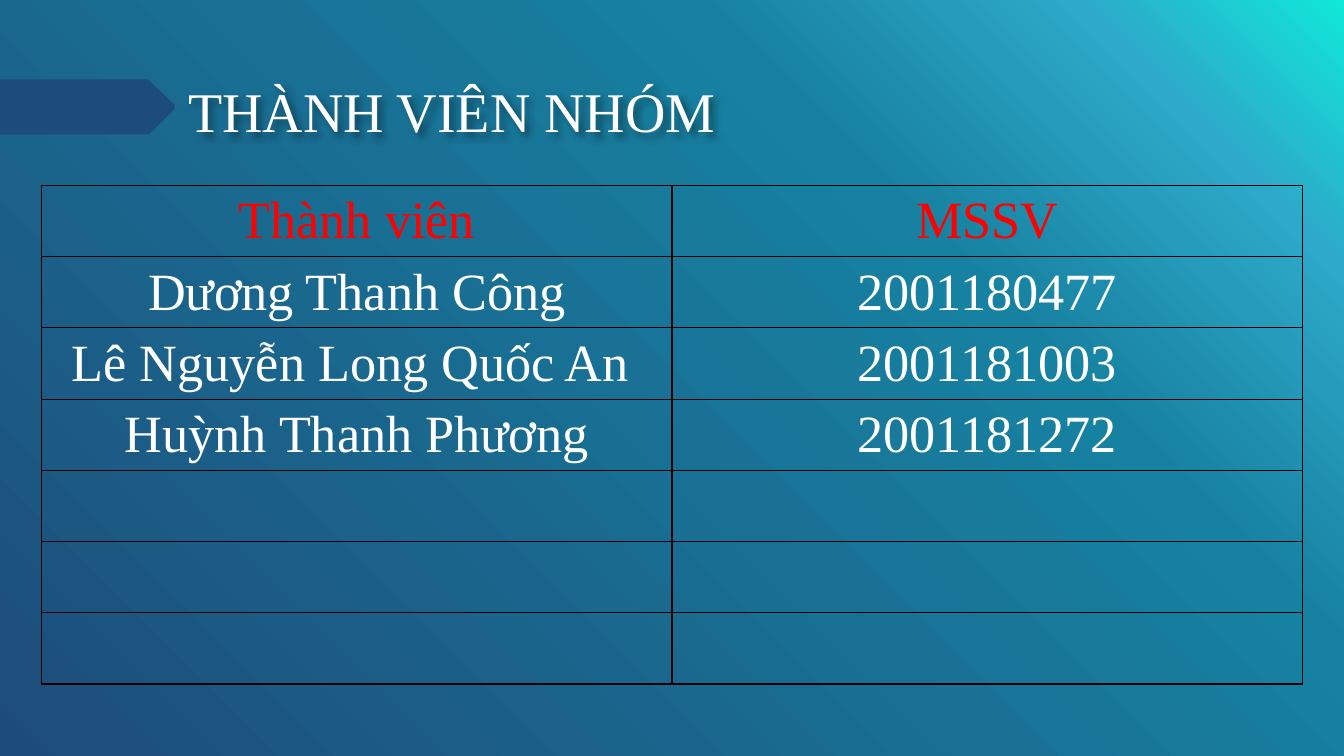
from copy import deepcopy

from lxml import etree
from pptx import Presentation
from pptx import util as u
from pptx.dml.color import RGBColor
from pptx.enum import text
from pptx.oxml import parse_xml
from pptx.oxml.ns import nsdecls, qn

NAVY, WHITE, RED, BLACK = "1D4C7A", "FFFFFF", "FF0000", "000000"


def color(value):
    return RGBColor.from_string(value)


def write(paragraph, content, size, hue):
    run = paragraph.add_run()
    run.text = content
    for name, value in {"name": "Times New Roman", "size": u.Pt(size)}.items():
        setattr(run.font, name, value)
    run.font.color.rgb = color(hue)


# Widescreen slide, 16 to 9
presentation = Presentation()
presentation.slide_width = u.Inches(10)
presentation.slide_height = u.Inches(10 * 9 / 16)
slide = presentation.slides.add_slide(presentation.slide_layouts[6])

# Background: diagonal gradient from the top right corner
fill = slide.background.fill
fill.gradient()
fill.gradient_angle = 225
stop_list = next(slide.element.iter(qn("a:gsLst")))
for _ in range(2):
    stop_list.append(deepcopy(stop_list[0]))
stops = [(0, "10E7D9"), (0.13, "2DA8C8"), (0.31, "1781A1"), (1, NAVY)]
for stop, (position, hue) in zip(fill.gradient_stops, stops):
    stop.position = position
    stop.color.rgb = color(hue)

# Arrow tab at the left edge
points = [(0, 0.59), (1.1, 0.59), (1.3, 0.78), (1.3, 0.81), (1.11, 1), (0, 1)]
corners = [(u.Inches(x), u.Inches(y)) for x, y in points]
builder = slide.shapes.build_freeform(*corners[0])
builder.add_line_segments(corners[1:], close=True)
arrow_tab = builder.convert_to_shape()
arrow_tab.shadow.inherit = False
arrow_tab.fill.solid()
arrow_tab.fill.fore_color.rgb = color(NAVY)
arrow_tab.line.fill.background()

# Title with a soft shadow
title = slide.shapes.add_textbox(u.Inches(1.4), u.Inches(0.66), u.Inches(7.36), u.Inches(0.38))
frame = title.text_frame
frame_format = {
    "word_wrap": True, "vertical_anchor": text.MSO_ANCHOR.MIDDLE,
    "margin_left": 0, "margin_right": 0, "margin_top": 0, "margin_bottom": 0,
}
for name, value in frame_format.items():
    setattr(frame, name, value)
frame.paragraphs[0].line_spacing = 0.9
write(frame.paragraphs[0], "THÀNH VIÊN NHÓM", 30, WHITE)
title.element.spPr.append(parse_xml(
    f'<a:effectLst {nsdecls("a")}><a:outerShdw blurRad="50800" dist="38100" dir="2700000">'
    f'<a:srgbClr val="{BLACK}"><a:alpha val="40000"/></a:srgbClr></a:outerShdw></a:effectLst>'))

# Member table, with three rows left open
members = [
    ("Thành viên", "MSSV"),
    ("Dương Thanh Công", "2001180477"),
    ("Lê Nguyễn Long Quốc An ", "2001181003"),
    ("Huỳnh Thanh Phương", "2001181272"),
] + [("", "")] * 3
row_height = u.Inches(0.53)
table = slide.shapes.add_table(
    len(members), 2, u.Inches(0.31), u.Inches(1.38), u.Inches(9.38), row_height * len(members)
).table
table.first_row = False
table.horz_banding = False
cell_format = {
    "margin_top": u.Inches(0.03), "margin_bottom": u.Inches(0.03),
    "vertical_anchor": text.MSO_ANCHOR.MIDDLE,
}
for row_index, member in enumerate(members):
    table.rows[row_index].height = row_height
    for column_index, content in enumerate(member):
        cell = table.cell(row_index, column_index)
        for name, value in cell_format.items():
            setattr(cell, name, value)
        cell.fill.background()
        properties = cell._tc.get_or_add_tcPr()
        for index, side in enumerate(("lnL", "lnR", "lnT", "lnB")):
            border = etree.Element(qn(f"a:{side}"), w=str(u.Pt(0.75)))
            solid = etree.SubElement(border, qn("a:solidFill"))
            etree.SubElement(solid, qn("a:srgbClr"), val=BLACK)
            properties.insert(index, border)
        if content:
            paragraph = cell.text_frame.paragraphs[0]
            paragraph.alignment = text.PP_ALIGN.CENTER
            write(paragraph, content, 28, RED if row_index == 0 else WHITE)

presentation.save("out.pptx")
